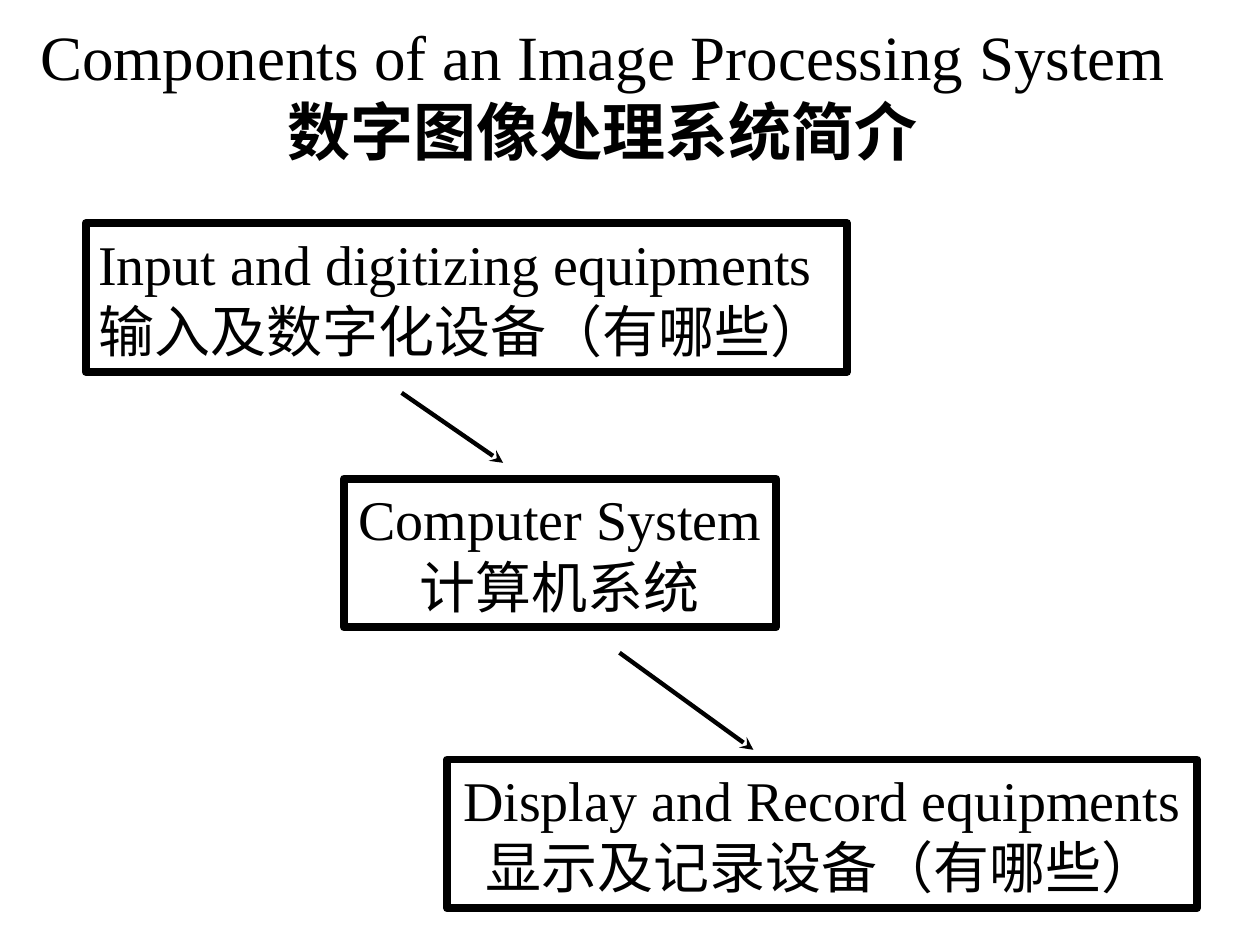
from lxml import etree
from pptx import Presentation
from pptx.dml.color import RGBColor
from pptx.enum.shapes import MSO_CONNECTOR as CONNECTOR, MSO_SHAPE as SHAPE
from pptx.enum.text import MSO_ANCHOR as ANCHOR, MSO_AUTO_SIZE as AUTO, PP_ALIGN as ALIGN
from pptx.oxml.ns import qn
from pptx.util import Pt

BLACK = RGBColor(0, 0, 0)
WHITE = RGBColor(255, 255, 255)
FONT = "Times New Roman"
BOX_HEIGHT = 85


def format_paragraph(p, size, align):
    p.alignment = align
    for r in p.runs:
        r.font.name = FONT
        r.font.size = Pt(size)
        r.font.color.rgb = BLACK


def add_title(slide, english, chinese):
    sp = slide.shapes.add_textbox(Pt(0), Pt(0), Pt(689), Pt(106))
    sp.line.color.rgb = WHITE
    sp.line.width = Pt(0.75)
    tf = sp.text_frame
    tf.word_wrap = True
    tf.vertical_anchor = ANCHOR.MIDDLE
    p = tf.paragraphs[0]
    p.text = f"{english}\v{chinese}"
    format_paragraph(p, 36, ALIGN.CENTER)
    p.runs[1].font.bold = True


def add_box(slide, left, top, width, text, align=ALIGN.CENTER):
    sp = slide.shapes.add_shape(SHAPE.RECTANGLE, Pt(left), Pt(top), Pt(width), Pt(BOX_HEIGHT))
    sp.shadow.inherit = False
    sp.fill.solid()
    sp.fill.fore_color.rgb = WHITE
    sp.line.color.rgb = BLACK
    sp.line.width = Pt(4.5)
    tf = sp.text_frame
    tf.word_wrap = False
    tf.auto_size = AUTO.SHAPE_TO_FIT_TEXT
    tf.vertical_anchor = ANCHOR.TOP
    tf.text = text
    for p in tf.paragraphs:
        format_paragraph(p, 32, align)


def add_arrow(slide, x1, y1, x2, y2):
    line = slide.shapes.add_connector(CONNECTOR.STRAIGHT, Pt(x1), Pt(y1), Pt(x2), Pt(y2))
    line.line.color.rgb = BLACK
    line.line.width = Pt(2.5)
    etree.SubElement(line.line._get_or_add_ln(), qn("a:tailEnd"), type="stealth")
    etree.SubElement(line._element.spPr, qn("a:effectLst"))


def main():
    prs = Presentation()
    prs.slide_width, prs.slide_height = Pt(720), Pt(540)
    slide = prs.slides.add_slide(prs.slide_layouts[6])
    add_title(slide, "Components of an Image Processing System", "数字图像处理系统简介")
    add_box(slide, 49, 127.5, 435,
            "Input and digitizing equipments\n输入及数字化设备（有哪些）", ALIGN.LEFT)
    add_box(slide, 196.5, 273.5, 247, "Computer System\n计算机系统")
    add_box(slide, 255.5, 434, 428.5,
            "Display and Record equipments\n显示及记录设备（有哪些）")
    add_arrow(slide, 229.5, 224.5, 287.5, 264.5)
    add_arrow(slide, 354, 373, 430.5, 428.5)
    prs.save("out.pptx")


if __name__ == "__main__":
    main()
